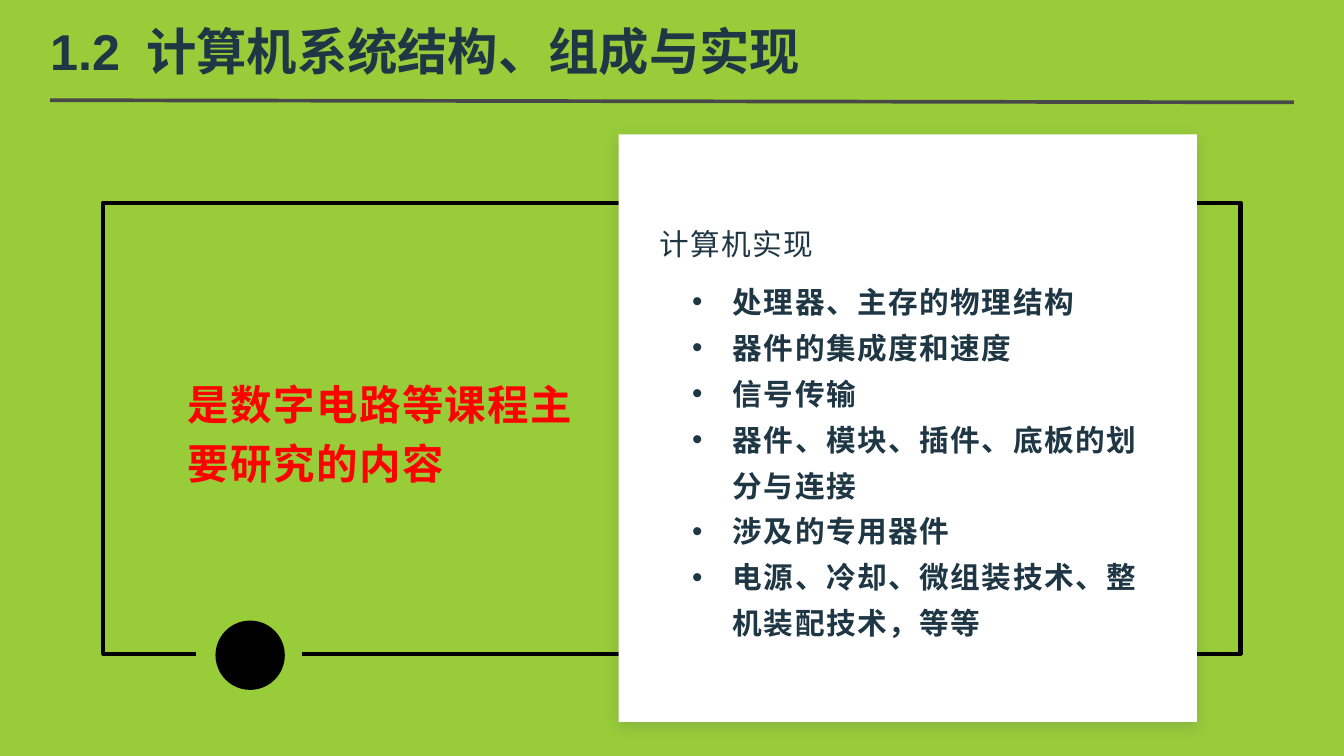
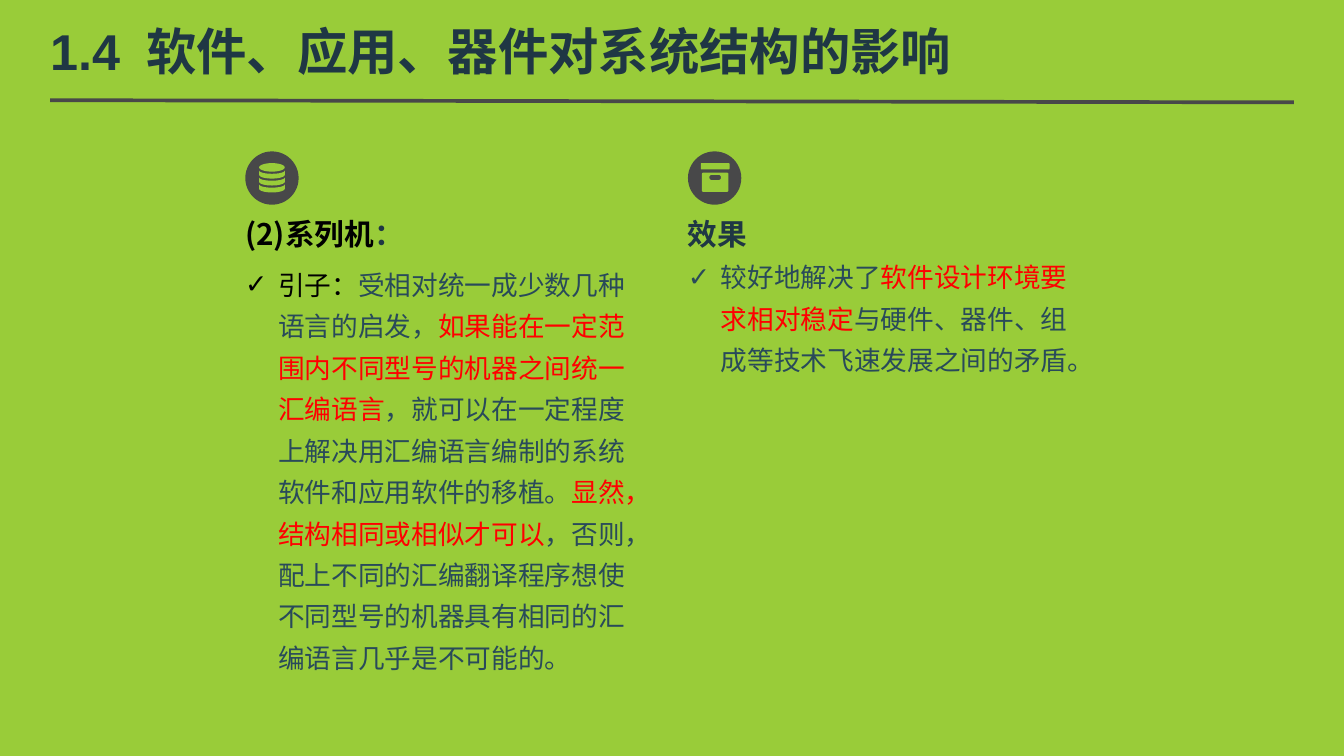
from dataclasses import dataclass
from math import cos, pi, sin

from pptx import Presentation
from pptx.dml.color import RGBColor
from pptx.enum.shapes import MSO_CONNECTOR, MSO_SHAPE
from pptx.enum.text import MSO_ANCHOR as Anchor, MSO_AUTO_SIZE as AutoSize, PP_ALIGN as Align
from pptx.oxml import parse_xml
from pptx.oxml.ns import nsdecls, qn
from pptx.util import Pt

PX = 9144
SANS, CJK = "Arial", "Noto Sans CJK SC"
COLORS = {
    "background": "99CC39",
    "rule": "484849",
    "heading": "1F3744",
    "body": "294A5A",
    "accent": "FF0000",
    "black": "000000",
    "card": "FFFFFF",
    "shadow": "2F5567",
}


@dataclass(frozen=True)
class Span:
    text: str
    color: str


@dataclass(frozen=True)
class Block:
    spans: tuple[Span, ...]
    size: int
    font: str = CJK
    bold: bool = False
    tracking: int = 0
    line: int | None = None
    after: int = 0
    level: int = 0
    bullet: str = ""
    hanging: int = 0
    indent: int = 0
    tab: int = 0


@dataclass(frozen=True)
class Column:
    left: int
    body_top: int
    body_height: int
    heading: tuple[Span, ...]
    body: tuple[Span, ...]


def px(length: float) -> int:
    return round(length * PX)


def color(name: str) -> RGBColor:
    return RGBColor.from_string(COLORS[name])


def drawing(xml: str):
    tag = xml[1:].split()[0].split(">")[0].rstrip("/")
    return parse_xml(xml.replace(tag, f"{tag} {nsdecls('a')}", 1))


def set_all(target, values: dict) -> None:
    for name, value in values.items():
        setattr(target, name, value)


def add_span(paragraph, span: Span, block: Block) -> None:
    run = paragraph.add_run()
    run.text = span.text
    set_all(run.font, {"size": Pt(block.size), "bold": block.bold, "name": block.font})
    run.font.color.rgb = color(span.color)
    properties = run.font._element
    if block.tracking:
        properties.set("spc", str(block.tracking * 100))
    properties.find(qn("a:latin")).addnext(drawing(f'<a:ea typeface="{CJK}"/>'))


def write(frame, blocks: tuple[Block, ...], insets: tuple[int, int], anchor: Anchor) -> None:
    across, down = (px(inset) for inset in insets)
    set_all(frame, {
        "word_wrap": True, "auto_size": AutoSize.NONE, "vertical_anchor": anchor,
        "margin_left": across, "margin_right": across,
        "margin_top": down, "margin_bottom": down,
    })
    for index, block in enumerate(blocks):
        paragraph = frame.add_paragraph() if index else frame.paragraphs[0]
        properties = paragraph._p.get_or_add_pPr()
        properties.set("hangingPunct", "1")
        if block.bullet:
            properties.set("marL", str(px(block.indent)))
            properties.set("indent", str(-px(block.hanging)))
            properties.append(drawing(f'<a:buFont typeface="{SANS}"/>'))
            properties.append(drawing(f'<a:buChar char="{block.bullet}"/>'))
        if block.tab:
            properties.append(drawing(
                f'<a:tabLst><a:tab pos="{px(block.tab)}" algn="l"/></a:tabLst>'))
        set_all(paragraph, {
            "alignment": Align.LEFT, "level": block.level,
            "space_before": Pt(0), "space_after": Pt(block.after),
        })
        if block.line:
            paragraph.line_spacing = Pt(block.line)
        for span in block.spans:
            add_span(paragraph, span, block)


def add_text(slide, box: tuple[int, ...], blocks: tuple[Block, ...],
             insets: tuple[int, int] = (10, 5), anchor: Anchor = Anchor.TOP) -> None:
    write(slide.shapes.add_textbox(*map(px, box)).text_frame, blocks, insets, anchor)


def add_filled(slide, kind: MSO_SHAPE, box: tuple[int, ...], fill: str):
    shape = slide.shapes.add_shape(kind, *map(px, box))
    shape.shadow.inherit = False
    shape.fill.solid()
    shape.fill.fore_color.rgb = color(fill)
    shape.line.fill.background()
    return shape


def add_outline(slide, contours: list[list[tuple[float, float]]], closed: bool):
    scaled = [[(px(x), px(y)) for x, y in contour] for contour in contours]
    builder = slide.shapes.build_freeform(*scaled[0][0], scale=1.0)
    builder.add_line_segments(scaled[0][1:], close=closed)
    for contour in scaled[1:]:
        builder.move_to(*contour[0])
        builder.add_line_segments(contour[1:], close=closed)
    shape = builder.convert_to_shape()
    shape.shadow.inherit = False
    return shape


def arc(x: float, y: float, across: float, down: float,
        start: float, end: float, steps: int = 16) -> list[tuple[float, float]]:
    angles = [start + (end - start) * step / steps for step in range(steps + 1)]
    return [(x + across * cos(angle), y + down * sin(angle)) for angle in angles]


def rounded(left: float, top: float, width: float, height: float,
            radius: float) -> list[tuple[float, float]]:
    x_low, x_high = left + radius, left + width - radius
    y_low, y_high = top + radius, top + height - radius
    corners = [(x_high, y_high), (x_low, y_high), (x_low, y_low), (x_high, y_low)]
    return [point for quarter, (x, y) in enumerate(corners)
            for point in arc(x, y, radius, radius, quarter * pi / 2, (quarter + 1) * pi / 2, 6)]


def database_icon() -> list[list[tuple[float, float]]]:
    lid = arc(255, 157, 12, 4, 0, 2 * pi, 32)
    bands = [arc(255, top, 12, 3, pi, 0) + arc(255, top + 4, 12, 3.5, 0, pi)
             for top in (160, 166.5, 173)]
    return [lid, *bands]


def archive_icon() -> list[list[tuple[float, float]]]:
    return [rounded(657, 153, 27, 6, 1), rounded(658, 162, 25, 18, 1.5),
            rounded(665, 164, 11, 5, 2.5)[::-1]]


def add_slide(presentation, number: str, title: str):
    slide = presentation.slides.add_slide(presentation.slide_layouts[5])
    placeholder = slide.shapes.title
    set_all(placeholder, {"left": px(47), "top": px(16), "width": px(1165), "height": px(63)})
    block = Block((Span(f"{number}\t{title}", "heading"),), 34, SANS, bold=True, tab=90)
    write(placeholder.text_frame, (block,), (0, 0), Anchor.MIDDLE)
    rule = slide.shapes.add_connector(MSO_CONNECTOR.STRAIGHT, *map(px, (47, 94, 1213, 96)))
    rule.line.color.rgb = color("rule")
    rule.line.width = Pt(2.5)
    rule._element.spPr.append(drawing("<a:effectLst/>"))
    return slide


def build_implementation(presentation) -> None:
    slide = add_slide(presentation, "1.2", "计算机系统结构、组成与实现")
    corners = [(184, 613), (97, 613), (97, 190), (1163, 190), (1163, 613), (283, 613)]
    frame = add_outline(slide, [corners], closed=False)
    frame.fill.background()
    frame.line.color.rgb = color("black")
    frame.line.width = Pt(2.75)
    add_filled(slide, MSO_SHAPE.OVAL, (202, 582, 65, 65), "black")
    card = add_filled(slide, MSO_SHAPE.RECTANGLE, (580, 126, 542, 551), "card")
    card._element.spPr.find(qn("a:effectLst")).append(drawing(
        f'<a:outerShdw blurRad="{Pt(10)}" dist="{Pt(3)}" dir="5400000" rotWithShape="0">'
        f'<a:srgbClr val="{COLORS["shadow"]}"><a:alpha val="20000"/></a:srgbClr></a:outerShdw>'))
    note = Block((Span("是数字电路等课程主要研究的内容", "accent"),), 28,
                 bold=True, tracking=1, line=40, after=8)
    add_text(slide, (169, 347, 390, 110), (note,), (7, 3), Anchor.MIDDLE)
    heading = Block((Span("计算机实现", "heading"),), 20, tracking=1, line=31, after=8)
    items = ("处理器、主存的物理结构", "器件的集成度和速度", "信号传输",
             "器件、模块、插件、底板的划分与连接", "涉及的专用器件",
             "电源、冷却、微组装技术、整机装配技术，等等")
    bullets = tuple(Block((Span(item, "heading"),), 20, bold=True, tracking=1, line=31,
                          level=1, bullet="•", indent=69, hanging=38) for item in items)
    add_text(slide, (611, 157, 480, 489), (heading, *bullets), (7, 3), Anchor.MIDDLE)


def build_influence(presentation) -> None:
    slide = add_slide(presentation, "1.4", "软件、应用、器件对系统结构的影响")
    series = Column(
        220, 238, 295,
        (Span("(2)系列机", "black"), Span("：", "heading")),
        (Span("引子：", "black"),
         Span("受相对统一成少数几种语言的启发，", "body"),
         Span("如果能在一定范围内不同型号的机器之间统一汇编语言", "accent"),
         Span("，就可以在一定程度上解决用汇编语言编制的系统软件和应用软件的移植。", "body"),
         Span("显然，结构相同或相似才可以", "accent"),
         Span("，否则，配上不同的汇编翻译程序想使不同型号的机器具有相同的汇编语言几乎是不可能的。",
              "body")))
    effect = Column(
        635, 231, 296,
        (Span("效果", "heading"),),
        (Span("较好地解决了", "body"),
         Span("软件设计环境要求相对稳定", "accent"),
         Span("与硬件、器件、组成等技术飞速发展之间的矛盾。", "body")))
    for column, icon in ((series, database_icon()), (effect, archive_icon())):
        add_filled(slide, MSO_SHAPE.OVAL, (column.left + 10, 142, 50, 50), "rule")
        symbol = add_outline(slide, icon, closed=True)
        symbol.fill.solid()
        symbol.fill.fore_color.rgb = color("background")
        symbol.line.fill.background()
        body = Block(column.body, 18, SANS, line=28, bullet="✓", indent=31, hanging=31)
        add_text(slide, (column.left, column.body_top, 382, column.body_height), (body,))
        add_text(slide, (column.left, 198, 382, 45), (Block(column.heading, 20, bold=True),))


def main() -> None:
    presentation = Presentation()
    set_all(presentation, {"slide_width": px(1260), "slide_height": px(709)})
    background = presentation.slide_master.background.fill
    background.solid()
    background.fore_color.rgb = color("background")
    build_implementation(presentation)
    build_influence(presentation)
    presentation.save("out.pptx")


if __name__ == "__main__":
    main()
